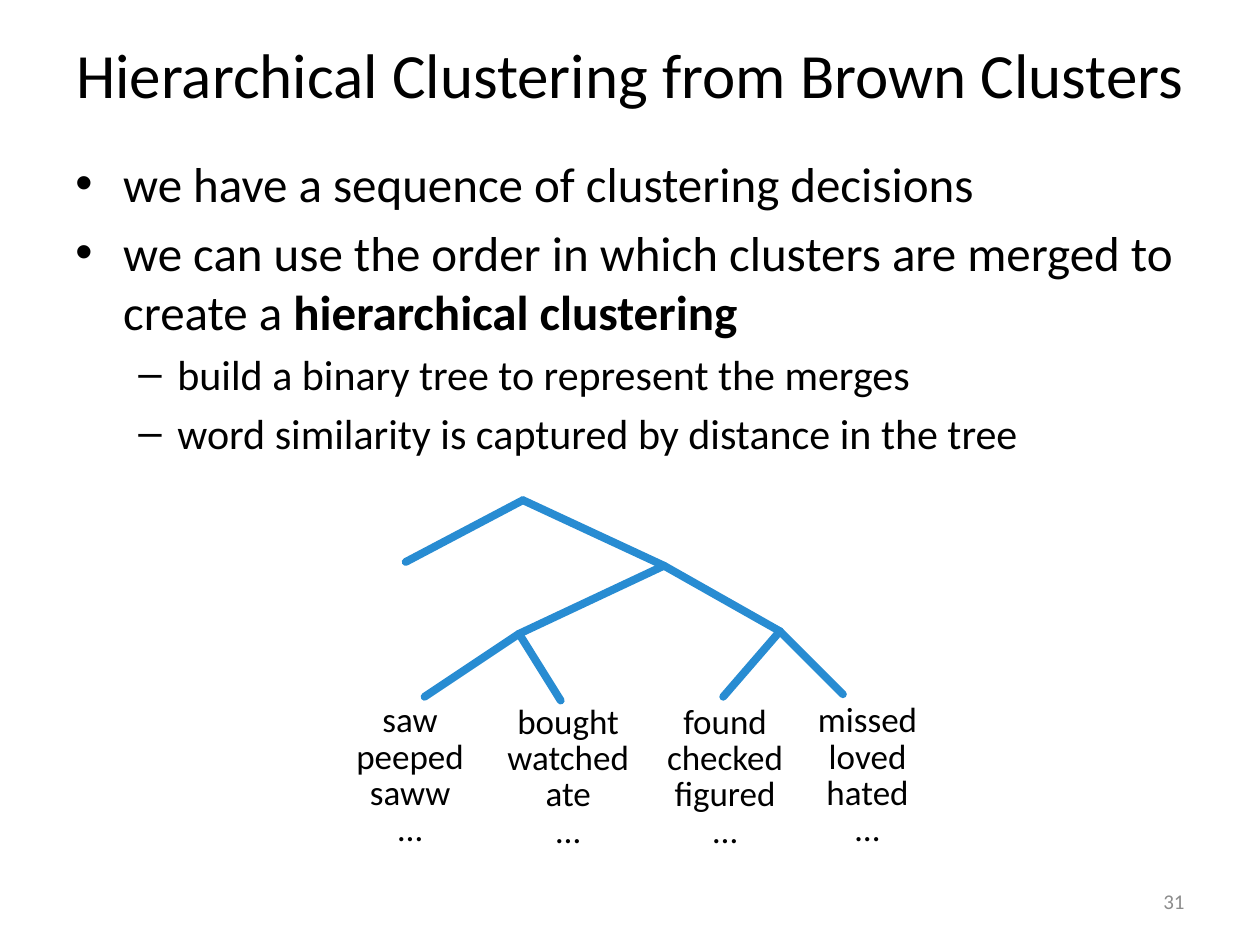
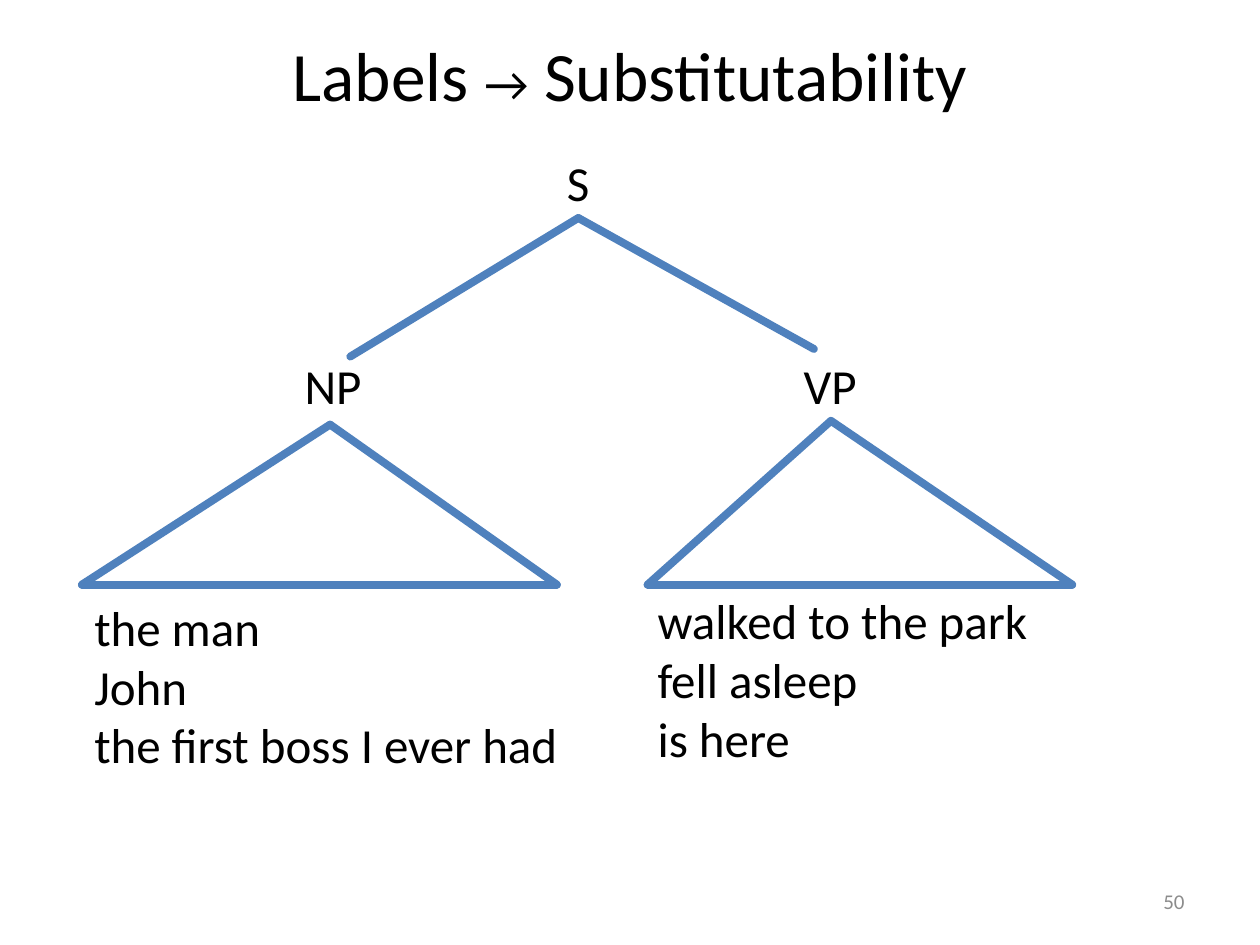
from lxml.etree import SubElement
from pptx import Presentation
from pptx.dml.color import RGBColor
from pptx.enum.shapes import MSO_CONNECTOR as Connector
from pptx.enum.text import MSO_ANCHOR as Anchor, MSO_AUTO_SIZE as AutoSize, PP_ALIGN as Align
from pptx.oxml.ns import qn
from pptx.util import Inches, Pt

# Shared look: a grid of 10 columns by 7.5 rows covers the slide
SLIDE_W, SLIDE_H = Inches(10), Inches(7.5)
COLUMNS, ROWS = 10, 7.5
FONT = "Calibri"
INK, GREY = "000000", "8C8C8C"
CLUSTER_BLUE, PARSE_BLUE = "288CD2", "4F81BD"
BRANCH_WIDTH = 4.5
SPACE_SHARE = 0.2  # space before a paragraph, as a share of its text size
BULLETS = {0: ("•", 28, 0.38, -0.38), 1: ("–", 24, 0.81, -0.31)}


def color(hex_string):
    return RGBColor.from_string(hex_string)


def col(n):
    return round(n * SLIDE_W / COLUMNS)


def row(n):
    return round(n * SLIDE_H / ROWS)


def apply(target, formats):
    for name, value in formats.items():
        setattr(target, name, value)


def add_runs(paragraph, runs, size, ink=INK):
    """Each run is a text and a dict of font values that differ."""
    for text, changes in runs:
        run = paragraph.add_run()
        run.text = text
        apply(run.font, {"name": FONT, "size": Pt(size), **changes})
        run.font.color.rgb = color(ink)


def add_frame(slide, place, **formats):
    left, top, width, height = place
    box = slide.shapes.add_textbox(col(left), row(top), col(width), row(height))
    apply(box.text_frame, {"word_wrap": True, **formats})
    return box


def add_lines(box, lines, size, **formats):
    """Plain lines of text, one paragraph each."""
    frame = box.text_frame
    for index, text in enumerate(lines):
        paragraph = frame.add_paragraph() if index else frame.paragraphs[0]
        apply(paragraph, formats)
        if not index:
            paragraph.space_before = Pt(0)
        add_runs(paragraph, [(text, {})], size)


def add_title(slide, runs, size, left=0.5):
    box = add_frame(slide, (left, 0.19, COLUMNS - 2 * left, 0.79),
                    vertical_anchor=Anchor.MIDDLE)
    heading = box.text_frame.paragraphs[0]
    heading.alignment = Align.CENTER
    add_runs(heading, runs, size)


def add_page_number(slide, number):
    box = add_frame(slide, (7.17, 6.95, 2.33, 0.4), vertical_anchor=Anchor.MIDDLE)
    footer = box.text_frame.paragraphs[0]
    footer.alignment = Align.RIGHT
    add_runs(footer, [(str(number), {})], 12, GREY)


def add_bullets(slide, place, items):
    frame = add_frame(slide, place).text_frame
    for index, (level, runs) in enumerate(items):
        mark, size, indent, hanging = BULLETS[level]
        paragraph = frame.add_paragraph() if index else frame.paragraphs[0]
        apply(paragraph, {"level": level,
                          "space_before": Pt(size * SPACE_SHARE if index else 0)})
        properties = paragraph._p.get_or_add_pPr()
        properties.set("marL", str(col(indent)))
        properties.set("indent", str(col(hanging)))
        SubElement(properties, qn("a:buFont"), typeface="Arial")
        SubElement(properties, qn("a:buChar"), char=mark)
        add_runs(paragraph, runs, size)


def add_branch(slide, start, end, ink, parent=None):
    """A round-ended line; a parent label holds its start at the bottom side."""
    branch = slide.shapes.add_connector(
        Connector.STRAIGHT, col(start[0]), row(start[1]), col(end[0]), row(end[1]))
    if parent is not None:
        branch.begin_connect(parent, 2)
    branch.line.width = Pt(BRANCH_WIDTH)
    branch.line.color.rgb = color(ink)
    branch.line._get_or_add_ln().set("cap", "rnd")
    SubElement(branch._element.spPr, qn("a:effectLst"))


def add_triangle(slide, apex, left, right, base, ink, parent=None):
    for corner in (left, right):
        add_branch(slide, apex, (corner, base), ink, parent)
    add_branch(slide, (left, base), (right, base), ink)


def add_word_cluster(slide, place, words):
    add_lines(add_frame(slide, place), words + ["…"], 20, alignment=Align.CENTER,
              line_spacing=0.7, space_before=Pt(20 * SPACE_SHARE))


def add_label(slide, place, lines):
    label = add_frame(slide, place, word_wrap=False,
                      auto_size=AutoSize.SHAPE_TO_FIT_TEXT)
    add_lines(label, lines, 28)
    return label


def build_clustering(slide):
    add_title(slide, [("Hierarchical Clustering from Brown Clusters", {})], 36, 0.15)
    add_bullets(slide, (0.5, 1.17, 9, 5.53), [
        (0, [("we have a sequence of clustering decisions", {})]),
        (0, [("we can use the order in which clusters are merged to create a ", {}),
             ("hierarchical clustering", {"bold": True})]),
        (1, [("build a binary tree to represent the merges", {})]),
        (1, [("word similarity is captured by distance in the tree", {})]),
    ])
    add_page_number(slide, 31)

    # Merge tree: each node with its children
    root, verbs = (4.15, 3.97), (5.27, 4.49)
    seeing, finding = (4.12, 5.03), (6.19, 5.01)
    merges = {
        root: [(3.22, 4.46), verbs],
        verbs: [seeing, finding],
        seeing: [(3.37, 5.53), (4.45, 5.56)],
        finding: [(5.74, 5.53), (6.69, 5.51)],
    }
    for node, children in merges.items():
        for child in children:
            add_branch(slide, node, child, CLUSTER_BLUE)

    # Words under the leaves
    clusters = [
        (2.68, 5.58, 1.15, ["saw", "peeped", "saww"]),
        (3.91, 5.59, 1.2, ["bought", "watched", "ate"]),
        (5.16, 5.59, 1.19, ["found", "checked", "figured"]),
        (6.29, 5.58, 1.19, ["missed", "loved", "hated"]),
    ]
    for left, top, width, words in clusters:
        add_word_cluster(slide, (left, top, width, 1.03), words)


def build_substitutability(slide):
    add_title(slide, [("Labels ", {}), ("→", {"size": Pt(27.9)}),
                      (" Substitutability", {})], 39.6)
    add_page_number(slide, 50)

    # Phrase labels
    sentence = add_label(slide, (4.4, 1.16, 0.38, 0.57), ["S"])
    add_label(slide, (2.32, 2.77, 0.66, 0.57), ["NP"])
    verb_phrase = add_label(slide, (6.28, 2.77, 0.63, 0.57), ["VP"])

    # Branches and the triangles over the phrases
    for end in ((2.78, 2.83), (6.46, 2.77)):
        add_branch(slide, (4.59, 1.73), end, PARSE_BLUE, sentence)
    add_triangle(slide, (2.62, 3.37), 0.65, 4.42, 4.64, PARSE_BLUE)
    add_triangle(slide, (6.59, 3.35), 5.14, 8.51, 4.64, PARSE_BLUE, verb_phrase)

    # Phrases that can replace each other
    add_label(slide, (0.65, 4.69, 3.93, 1.51),
              ["the man", "John", "the first boss I ever had"])
    add_label(slide, (5.12, 4.64, 3.19, 1.51),
              ["walked to the park", "fell asleep", "is here"])


def main():
    deck = Presentation()
    apply(deck, {"slide_width": SLIDE_W, "slide_height": SLIDE_H})
    blank = deck.slide_layouts[6]
    for build in (build_clustering, build_substitutability):
        build(deck.slides.add_slide(blank))
    deck.save("out.pptx")


if __name__ == "__main__":
    main()
